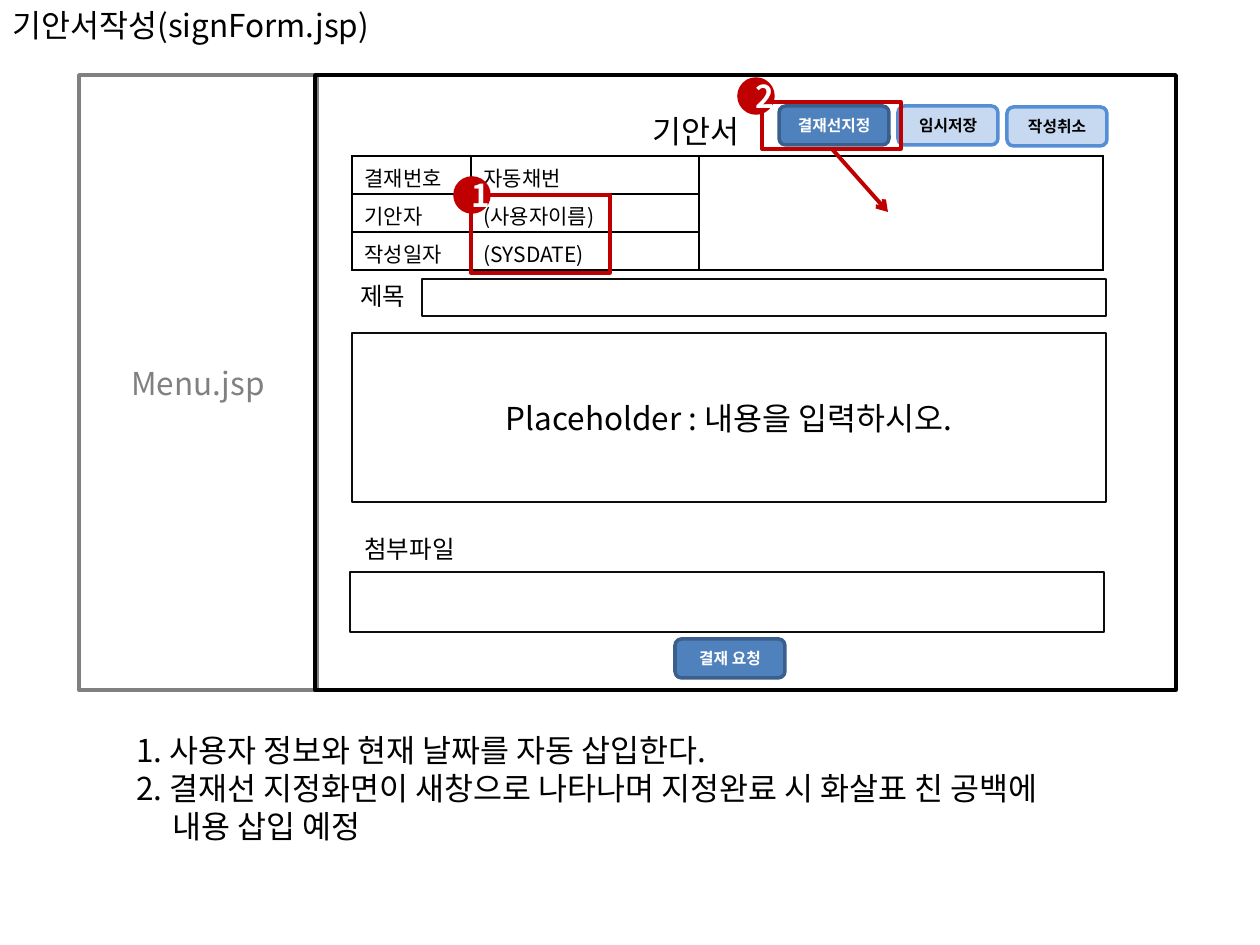
from pptx import Presentation
from pptx.dml.color import RGBColor as RGB
from pptx.enum.shapes import MSO_CONNECTOR as LINK, MSO_SHAPE as KIND
from pptx.enum.text import MSO_ANCHOR as ANCHOR, MSO_AUTO_SIZE as AUTO, PP_ALIGN as ALIGN
from pptx.oxml.ns import qn
from pptx.util import Pt
from lxml.etree import SubElement as add_tag

PX = 914400 / 126
FACE = "Noto Sans CJK KR"
BLACK = RGB(0x00, 0x00, 0x00)
WHITE = RGB(0xFF, 0xFF, 0xFF)
GRAY = RGB(0x80, 0x80, 0x80)
INK = RGB(0x0D, 0x0D, 0x0D)
RED = RGB(0xC0, 0x00, 0x00)
BLUE = RGB(0x4F, 0x81, 0xBD)
NAVY = RGB(0x3A, 0x5F, 0x8C)
PALE = RGB(0xC6, 0xD9, 0xF1)
SKY = RGB(0x55, 0x8E, 0xD5)


def px(*nums):
    """Turn pixels into a list of EMU lengths."""
    return [round(n * PX) for n in nums]


def write(frame, text, size, color=BLACK, bold=False, align=ALIGN.LEFT):
    """Fill a text frame, one paragraph for each line."""
    frame.text = text
    frame.word_wrap = True
    for para in frame.paragraphs:
        para.alignment = align
        for run in para.runs:
            for key, val in {"name": FACE, "size": Pt(size), "bold": bold}.items():
                setattr(run.font, key, val)
            run.font.color.rgb = color
            add_tag(run.font._element, qn("a:ea"), typeface=FACE)


deck = Presentation()
deck.slide_width, deck.slide_height = px(1260, 945)
slide = deck.slides.add_slide(deck.slide_layouts[5])
shapes = slide.shapes

# Title
title = shapes.title
title.left, title.top, title.width, title.height = px(0, 0, 848, 51)
write(title.text_frame, "기안서작성(signForm.jsp)", 18)
title.text_frame.auto_size = AUTO.NONE
title.text_frame.vertical_anchor = ANCHOR.TOP

# Styles: preset, fill, line, line width, text size, text colour, bold
STYLES = {
    "menu": (KIND.RECTANGLE, None, GRAY, 2, 18, GRAY, False),
    "page": (KIND.RECTANGLE, None, BLACK, 2, 18, BLACK, False),
    "field": (KIND.RECTANGLE, None, INK, 1, 18, BLACK, False),
    "main": (KIND.ROUNDED_RECTANGLE, BLUE, NAVY, 2, 9, WHITE, True),
    "side": (KIND.ROUNDED_RECTANGLE, PALE, SKY, 2, 9, BLACK, True),
    "mark": (KIND.RECTANGLE, None, RED, 2, 18, RED, False),
    "badge": (KIND.OVAL, RED, RED, 2, 18, WHITE, True),
}
boxes = [
    ("menu", (79, 75, 238, 615), "Menu.jsp"),
    ("page", (315, 75, 861, 615), ""),
    ("field", (422, 279, 684, 37), ""),
    ("field", (352, 333, 754, 169), "Placeholder : 내용을 입력하시오."),
    ("field", (350, 572, 754, 60), ""),
    ("main", (779, 106, 110, 39), "결재선지정"),
    ("side", (898, 106, 100, 39), "임시저장"),
    ("side", (1007, 107, 100, 39), "작성취소"),
    ("main", (675, 639, 110, 39), "결재 요청"),
]
marks = [
    ("mark", (762, 102, 139, 47), ""),
    ("badge", (739, 79, 34, 34), "2"),
    ("mark", (471, 195, 139, 78), ""),
    ("badge", (455, 178, 34, 34), "1"),
]

# Approval table, placed below the marks
grid = shapes.add_table(3, 3, *px(352, 156, 751, 114))
table = grid.table
for col, wide in zip(table.columns, px(119, 228, 404)):
    col.width = wide
for row in table.rows:
    row.height = px(38)[0]
table.cell(0, 2).merge(table.cell(2, 2))
rows = [("결재번호", "자동채번"), ("기안자", "(사용자이름)"), ("작성일자", "(SYSDATE)")]
for r, texts in enumerate(rows):
    for c, text in enumerate((*texts, "")):
        cell = table.cell(r, c)
        cell.margin_top, cell.margin_bottom = px(6, 0)
        if text:
            write(cell.text_frame, text, 12)
        else:
            cell.text_frame.paragraphs[0].font.size = Pt(12)
        props = cell._tc.get_or_add_tcPr()
        for side in ("a:lnL", "a:lnR", "a:lnT", "a:lnB"):
            edge = add_tag(props, qn(side), w=str(Pt(1)))
            add_tag(add_tag(edge, qn("a:solidFill")), qn("a:srgbClr"), val=str(BLACK))
        cell.fill.background()

# Panels, fields, buttons and numbered marks
for style, place, text in boxes + marks:
    kind, fill, line, width, size, color, bold = STYLES[style]
    box = shapes.add_shape(kind, *px(*place))
    box.shadow.inherit = False
    if fill is None:
        box.fill.background()
    else:
        box.fill.solid()
        box.fill.fore_color.rgb = fill
    box.line.color.rgb = line
    box.line.width = Pt(width)
    if text:
        write(box.text_frame, text, size, color, bold, ALIGN.CENTER)

# Arrow to the blank cell
arrow = shapes.add_connector(LINK.STRAIGHT, *px(832, 149, 888, 212))
arrow.line.color.rgb = RED
arrow.line.width = Pt(2.25)
add_tag(arrow.line._get_or_add_ln(), qn("a:tailEnd"), type="arrow")
add_tag(arrow._element.spPr, qn("a:effectLst"))

# Labels and notes
notes = "\n".join([
    "1. 사용자 정보와 현재 날짜를 자동 삽입한다.",
    "2. 결재선 지정화면이 새창으로 나타나며 지정완료 시 화살표 친 공백에",
    "내용 삽입 예정",
])
labels = [
    ((640, 106, 139, 50), "기안서", 18),
    ((348, 275, 89, 43), "제목", 14),
    ((352, 528, 159, 43), "첨부파일", 14),
    ((124, 725, 1042, 127), notes, 18),
]
for place, text, size in labels:
    label = shapes.add_textbox(*px(*place))
    write(label.text_frame, text, size)
last = label.text_frame.paragraphs[-1]
last._p.get_or_add_pPr().set("marL", str(px(36)[0]))

deck.save("out.pptx")
